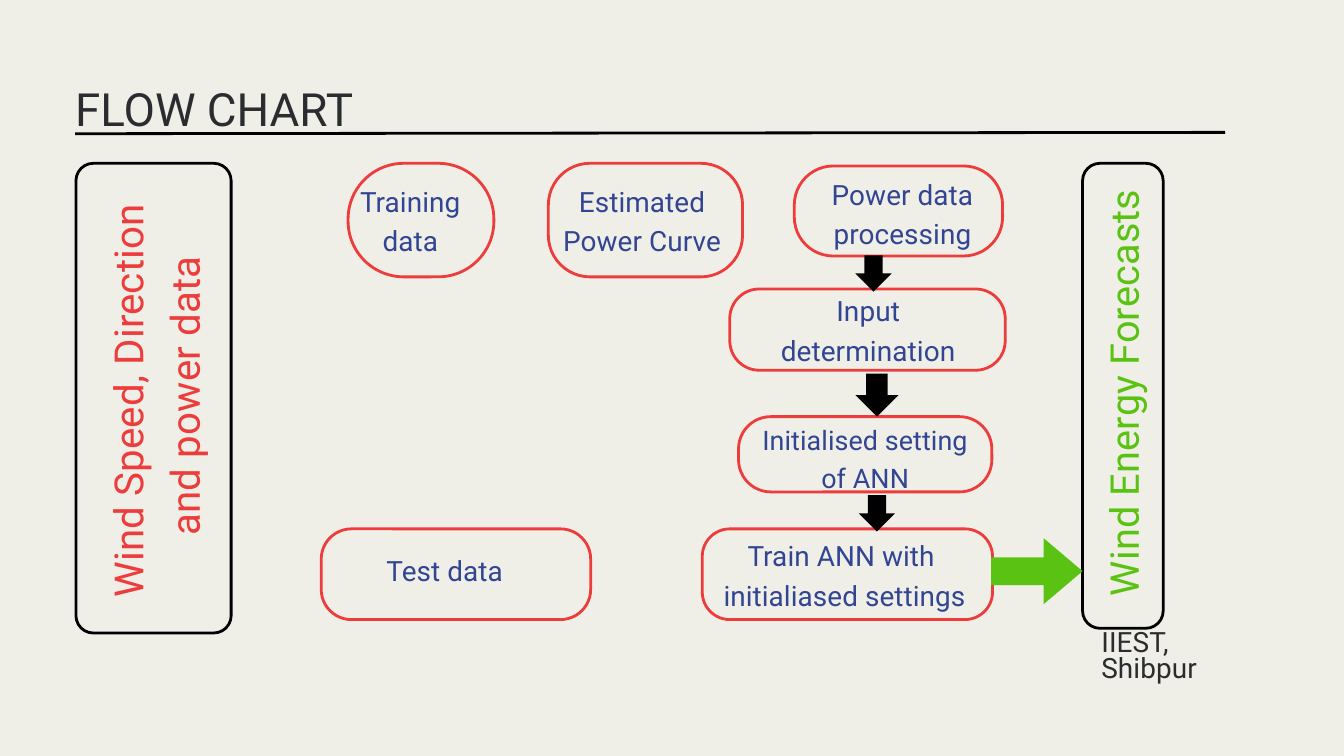
from pptx import Presentation
from pptx.dml.color import RGBColor
from pptx.enum.shapes import MSO_CONNECTOR, MSO_SHAPE
from pptx.enum.text import PP_ALIGN
from pptx.oxml.ns import qn
from pptx.util import Inches, Pt
from lxml.etree import SubElement

C = {"paper": "EFEEE7", "ink": "2B2C30", "black": "000000",
     "red": "ED3C3C", "blue": "324592", "green": "5AC212"}

prs = Presentation()
prs.slide_width, prs.slide_height = Inches(20), Inches(11.25)
s = prs.slides.add_slide(prs.slide_layouts[6])
s.background.fill.solid()
s.background.fill.fore_color.rgb = RGBColor.from_string(C["paper"])

# Grid: 20 columns by 11.25 rows
COL, ROW = prs.slide_width / 20, prs.slide_height / 11.25


def add_shape(kind, x, y, w, h, adj, fill, line=None):
    sp = s.shapes.add_shape(kind, int(x * COL), int(y * ROW), int(w * COL), int(h * ROW))
    sp.shadow.inherit = False
    for i, value in enumerate(adj):
        sp.adjustments[i] = value
    sp.fill.solid()
    sp.fill.fore_color.rgb = RGBColor.from_string(C[fill])
    if line:
        sp.line.color.rgb = RGBColor.from_string(C[line])
        sp.line.width = Pt(3)
    else:
        sp.line.fill.background()


def add_text(lines, x, y, w, h, size, leading, color="blue",
             align=PP_ALIGN.CENTER, spacing=10, rotation=0):
    sp = s.shapes.add_textbox(int(x * COL), int(y * ROW), int(w * COL), int(h * ROW))
    sp.rotation = rotation
    tf = sp.text_frame
    tf.word_wrap = True
    tf.margin_left = tf.margin_right = tf.margin_top = tf.margin_bottom = 0
    for i, text in enumerate(lines):
        p = tf.add_paragraph() if i else tf.paragraphs[0]
        p.alignment = align
        p.line_spacing = Pt(leading)
        r = p.add_run()
        r.text = text
        r.font.name, r.font.size = "Roboto", Pt(size)
        r.font.color.rgb = RGBColor.from_string(C[color])
        r._r.get_or_add_rPr().set("spc", str(spacing))


# Title and rule
add_text(["FLOW CHART"], 1.12, 1.07, 4.53, 0.92, 49, 68.6, "ink", PP_ALIGN.LEFT, 0)
rule = s.shapes.add_connector(MSO_CONNECTOR.STRAIGHT, int(1.12 * COL), int(1.99 * ROW),
                              int(18.23 * COL), int(1.97 * ROW))
rule.line.color.rgb = RGBColor.from_string(C["black"])
rule.line.width = Pt(3)
SubElement(rule._element.spPr, qn("a:effectLst"))

# Boxes: x, y, width, height, corner radius, outline
boxes = [
    (5.18, 2.43, 2.17, 1.69, 0.83, "red"),     # training data
    (8.16, 2.43, 2.89, 1.69, 0.62, "red"),     # estimated power curve
    (11.82, 2.47, 3.10, 1.34, 0.58, "red"),    # power data processing
    (10.86, 4.30, 4.10, 1.21, 0.44, "red"),    # input determination
    (10.99, 6.20, 3.77, 1.12, 0.48, "red"),    # initialised setting
    (4.78, 7.87, 4.01, 1.35, 0.45, "red"),     # test data
    (10.45, 7.87, 4.32, 1.35, 0.41, "red"),    # train ANN
    (1.13, 2.43, 2.31, 6.99, 0.26, "black"),   # source data
    (16.11, 2.43, 1.20, 6.92, 0.26, "black"),  # forecasts
]
for x, y, w, h, radius, line in boxes:
    add_shape(MSO_SHAPE.ROUNDED_RECTANGLE, x, y, w, h, [radius / min(w, h)], "paper", line)

# Arrows between the steps and to the forecasts
for x, y, side in [(12.73, 3.8, 0.54), (12.73, 5.56, 0.64), (12.78, 7.37, 0.54)]:
    add_shape(MSO_SHAPE.DOWN_ARROW, x, y, side, side, [0.5, 0.5], "black")
add_shape(MSO_SHAPE.RIGHT_ARROW, 14.75, 8.01, 1.36, 0.98, [0.42, 0.59], "green")

# Box labels: lines, x, y, width, height, size, leading
labels = [
    (["Training", "data"], 4.48, 2.67, 3.25, 1.14, 29.9, 41.8),
    (["Estimated", "Power Curve"], 7.97, 2.67, 3.17, 1.14, 29.9, 41.8),
    (["Power data", "processing"], 11.88, 2.56, 3.10, 1.14, 29.9, 41.8),
    (["Input", "determination"], 10.86, 4.29, 4.12, 1.15, 30, 42),
    (["Initialised setting", "of ANN"], 10.58, 6.23, 4.59, 1.10, 28.8, 40.4),
    (["Train ANN with ", "initialiased settings"], 10.3, 7.94, 4.54, 1.14, 29.9, 41.8),
    ([" Test data"], 4.48, 8.16, 4.18, 0.56, 29.9, 41.8),
]
for label in labels:
    add_text(*label)

# Upright labels
add_text(["Wind Speed, Direction ", "and power data"], -0.89, 5.07, 6.25, 1.64,
         43.1, 60.4, "red", spacing=20, rotation=270)
add_text(["Wind Energy Forecasts"], 13.42, 5.45, 6.43, 0.79,
         42.5, 59.5, "green", spacing=20, rotation=270)

# Footer
add_text(["IIEST,", "Shibpur"], 16.39, 9.42, 1.84, 0.8, 29.9, 27.2, "ink", PP_ALIGN.LEFT)

prs.save("out.pptx")
